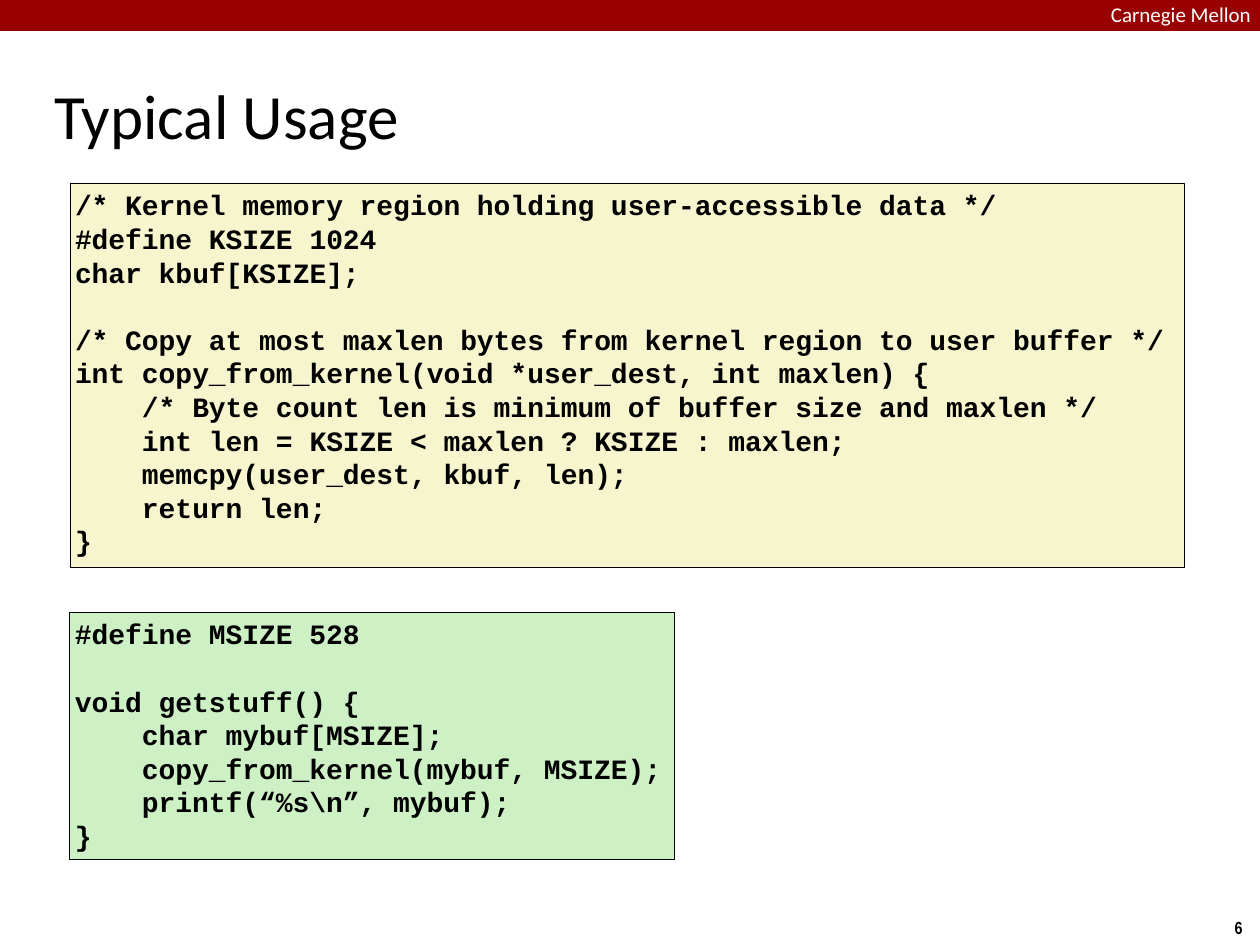
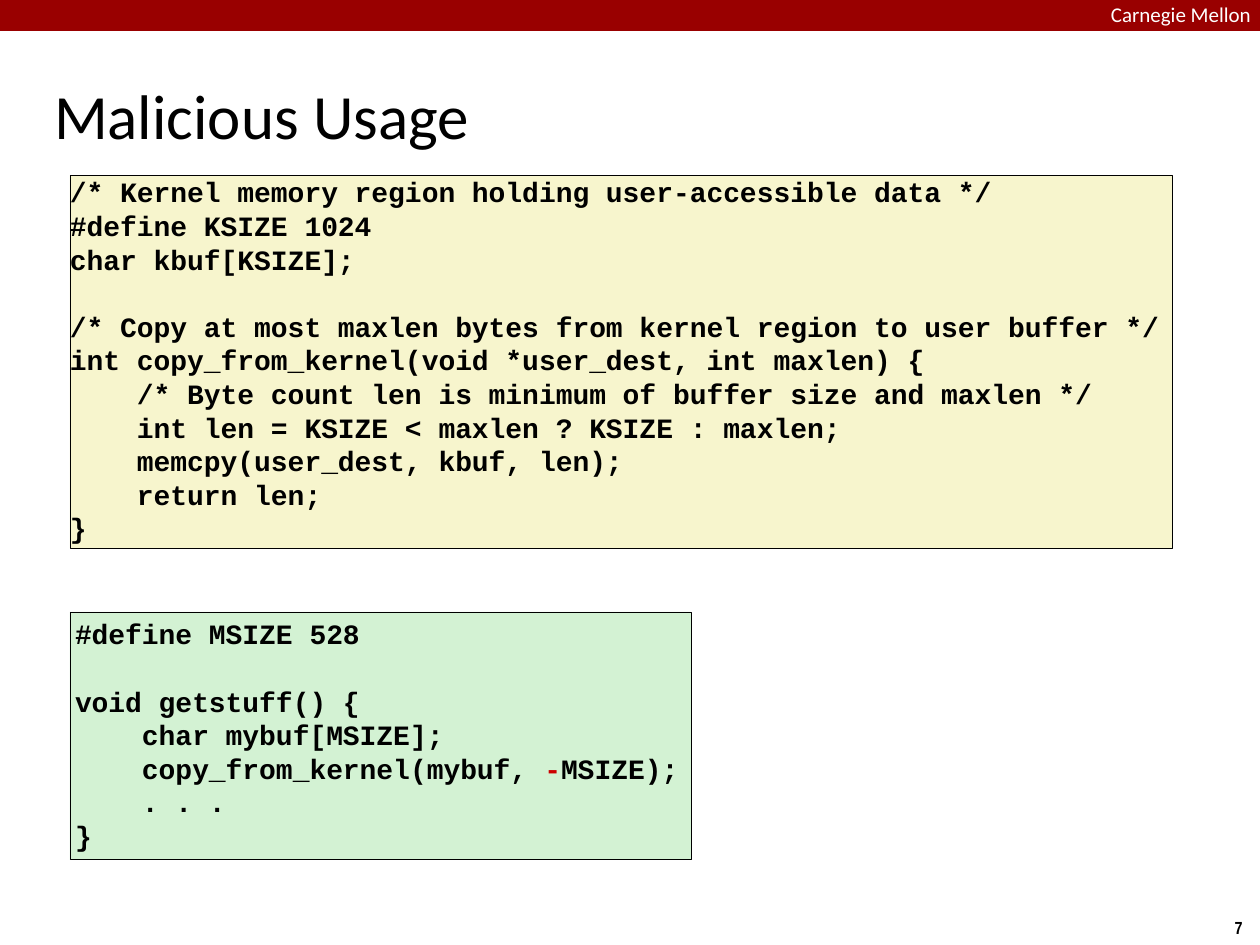
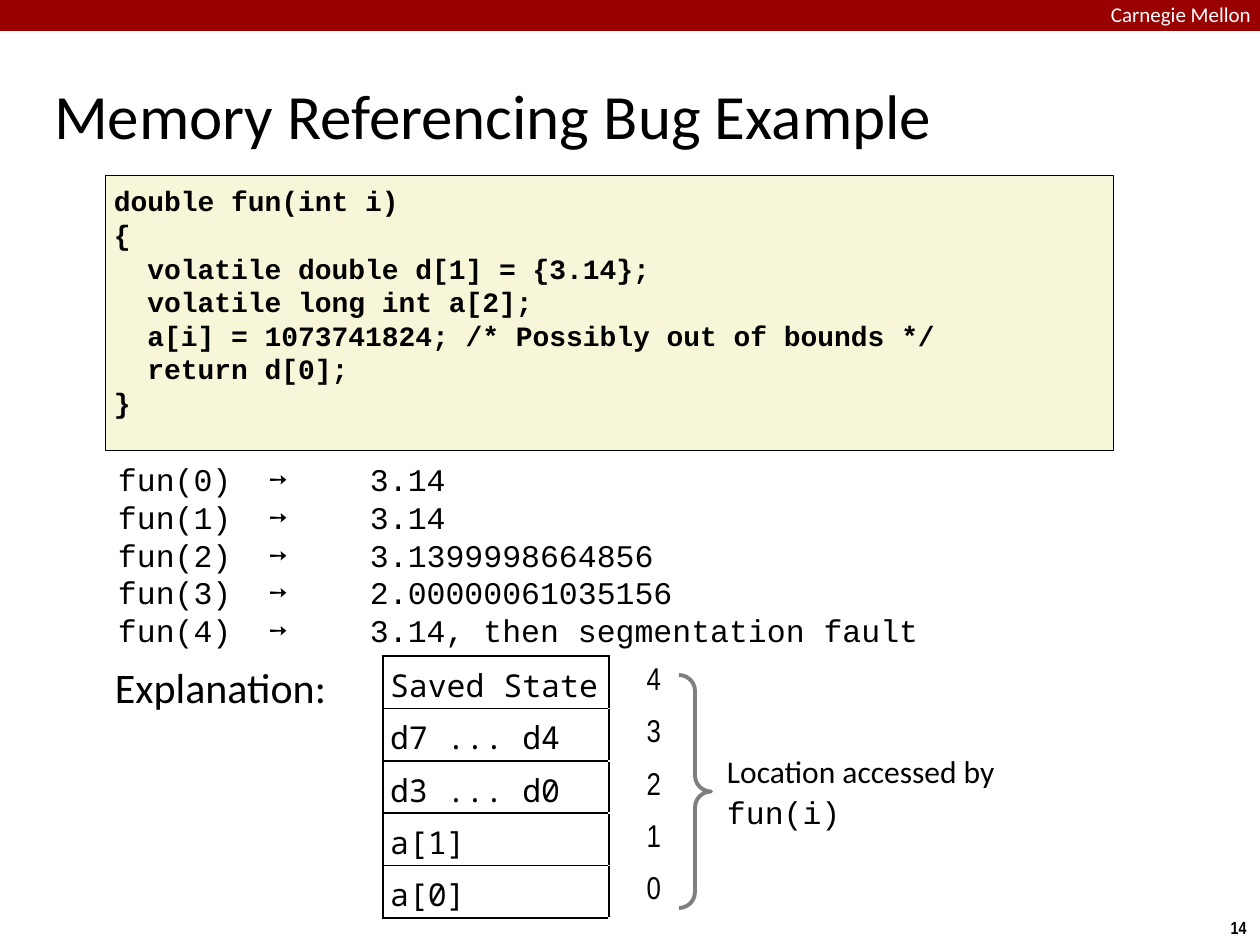
from lxml import etree
from pptx import Presentation
from pptx.dml.color import RGBColor
from pptx.enum.shapes import MSO_SHAPE as Shape
from pptx.enum.text import MSO_ANCHOR as Anchor, MSO_AUTO_SIZE as Fit, PP_ALIGN as Align
from pptx.oxml.ns import qn
from pptx.util import Emu, Pt

SCALE = 914400 / 126
WIDE, HIGH = 1260, 945
BLACK, WHITE, RED = "000000", "FFFFFF", "CC0000"
BAND, GRAY = "990000", "7F7F7F"
SAND, CREAM, GREEN, MINT = "F7F5CD", "F8F6D9", "CDF1C5", "D3F2D3"

TITLE = {"name": "Calibri", "size": 36, "color": BLACK}
BRAND = {"name": "Calibri", "size": 12, "color": WHITE}
PAGE = {"name": "Arial Narrow", "size": 10, "bold": True, "color": BLACK}
CODE = {"name": "Courier New", "size": 16, "bold": True, "color": BLACK}
OUTPUT = {"name": "Courier New", "size": 18, "color": BLACK}
LABEL = {"name": "Calibri", "size": 18, "color": BLACK}
LEAD = {"name": "Calibri", "size": 24, "color": BLACK}
CELL = {"name": "Noto Sans Mono", "size": 18, "bold": False, "color": BLACK}
INDEX = {**CELL, "name": "Arial Narrow"}

KERNEL = """/* Kernel memory region holding user-accessible data */
#define KSIZE 1024
char kbuf[KSIZE];

/* Copy at most maxlen bytes from kernel region to user buffer */
int copy_from_kernel(void *user_dest, int maxlen) {
    /* Byte count len is minimum of buffer size and maxlen */
    int len = KSIZE < maxlen ? KSIZE : maxlen;
    memcpy(user_dest, kbuf, len);
    return len;
}""".split("\n")

CALLER = """#define MSIZE 528

void getstuff() {
    char mybuf[MSIZE];""".split("\n")

FUN = """double fun(int i)
{
  volatile double d[1] = {3.14};
  volatile long int a[2];
  a[i] = 1073741824; /* Possibly out of bounds */
  return d[0];
}""".split("\n")

RESULTS = ["3.14", "3.14", "3.1399998664856", "2.00000061035156",
           "3.14, then segmentation fault"]
STACK = ["Saved State", "d7 ... d4", "d3 ... d0", "a[1]", "a[0]"]


def px(n):
    return Emu(round(n * SCALE))


def rgb(code):
    return RGBColor.from_string(code)


def style(run, form):
    for key, value in form.items():
        if key == "color":
            run.font.color.rgb = rgb(value)
        else:
            setattr(run.font, key, Pt(value) if key == "size" else value)


def add_tabs(par, stops):
    tabs = etree.SubElement(par._p.get_or_add_pPr(), qn("a:tabLst"))
    for stop in stops:
        etree.SubElement(tabs, qn("a:tab"), pos=str(px(stop)), algn="l")


def rule(cell, sides, color=BLACK, width=1):
    """Draw borders on the given sides, named in the order L, R, T, B."""
    props = cell._tc.get_or_add_tcPr()
    for spot, side in enumerate(sides):
        line = etree.Element(qn("a:ln" + side), w=str(Pt(width)))
        fill = etree.SubElement(line, qn("a:solidFill"))
        etree.SubElement(fill, qn("a:srgbClr"), val=color)
        props.insert(spot, line)


class Deck:
    """Holds the presentation, its shared style and the current slide."""

    def __init__(self):
        self.pres = Presentation()
        self.pres.slide_width, self.pres.slide_height = px(WIDE), px(HIGH)

    def start(self, title, page):
        self.slide = self.pres.slides.add_slide(self.pres.slide_layouts[5])
        self.shape(Shape.RECTANGLE, (0, 0, WIDE, 31), fill=BAND)
        self.text((1111, 2, 149, 24), ["Carnegie Mellon"], BRAND)
        self.text((1217, 911, 43, 34), [page], PAGE, pad=6, align=Align.CENTER)
        head = self.slide.shapes.title
        head.left, head.top, head.width, head.height = map(px, (49, 8, 1046, 213))
        self.put(head.text_frame, [title], TITLE, pad=5, anchor=Anchor.MIDDLE)

    def put(self, frame, lines, form, pad=0, align=Align.LEFT,
            anchor=Anchor.TOP, space=None, tabs=()):
        """Set up a frame and fill it with lines."""
        frame.word_wrap, frame.auto_size = True, Fit.NONE
        frame.vertical_anchor = anchor
        for side in ("left", "right", "top", "bottom"):
            setattr(frame, "margin_" + side, px(pad))
        self.fill(frame, lines, form, align, space, tabs)

    def fill(self, frame, lines, form, align, space=None, tabs=()):
        """Add paragraphs; a line is a string or a list of (text, changes)."""
        for spot, line in enumerate(lines):
            par = frame.add_paragraph() if spot else frame.paragraphs[0]
            par.alignment = align
            if space:
                par.line_spacing = space
            if tabs:
                add_tabs(par, tabs)
            for text, more in [(line, {})] if isinstance(line, str) else line:
                run = par.add_run()
                run.text = text
                style(run, {**form, **more})

    def text(self, area, lines, form, **opts):
        box = self.slide.shapes.add_textbox(*map(px, area))
        self.put(box.text_frame, lines, form, **opts)

    def shape(self, kind, area, fill=None, line=None, width=0.5):
        item = self.slide.shapes.add_shape(kind, *map(px, area))
        item.shadow.inherit = False
        if fill:
            item.fill.solid()
            item.fill.fore_color.rgb = rgb(fill)
        else:
            item.fill.background()
        if line:
            item.line.color.rgb = rgb(line)
            item.line.width = Pt(width)
        else:
            item.line.fill.background()
        return item

    def panel(self, area, lines, fill, form=CODE, line=BLACK, pad=5, **opts):
        item = self.shape(Shape.RECTANGLE, area, fill, line)
        self.put(item.text_frame, lines, form, pad, **opts)

    def brace(self, area):
        item = self.shape(Shape.RIGHT_BRACE, area, line=GRAY, width=2.25)
        item.adjustments[0] = 0.5

    def stack(self, area, names, widths):
        """Table of boxed names, each with its index counted down to 0."""
        table = self.slide.shapes.add_table(len(names), 2, *map(px, area)).table
        table.first_row = table.horz_banding = False
        for col, width in zip(table.columns, widths):
            col.width = px(width)
        for row, name in enumerate(names):
            count = str(len(names) - 1 - row)
            for col, (word, form, align, low, sides) in enumerate((
                    (name, CELL, Align.LEFT, 1, "LRTB"),
                    (count, INDEX, Align.RIGHT, 7, "L"))):
                cell = table.cell(row, col)
                cell.fill.background()
                cell.vertical_anchor = Anchor.MIDDLE
                cell.margin_left = cell.margin_right = cell.margin_top = px(7)
                cell.margin_bottom = px(low)
                self.fill(cell.text_frame, [word], form, align)
                rule(cell, sides)


def main():
    deck = Deck()

    deck.start("Typical Usage", "6")
    deck.panel((70, 183, 1114, 384), KERNEL, SAND)
    deck.panel((70, 612, 605, 248), CALLER + [
        "    copy_from_kernel(mybuf, MSIZE);", "    printf(“%s\\n”, mybuf);", "}"], GREEN)

    deck.start("Malicious Usage", "7")
    call = [("    copy_from_kernel(mybuf, ", {}), ("-", {"color": RED}), ("MSIZE);", {})]
    deck.panel((70, 612, 621, 248), CALLER + [call, "    . . .", "}"], MINT)
    deck.panel((70, 175, 1103, 373), KERNEL, SAND, pad=0)

    deck.start("Memory Referencing Bug Example", "14")
    deck.panel((105, 175, 1009, 276), FUN, CREAM, pad=9)
    calls = [f"fun({i})\t➙\t{value}" for i, value in enumerate(RESULTS)]
    deck.panel((113, 455, 1009, 189), calls, WHITE, OUTPUT, line=None, tabs=(151, 252))
    deck.brace((679, 675, 32, 233))
    deck.text((722, 743, 292, 89), [[("Location accessed by ", {}),
              ("fun(i)", {"name": "Courier New"})]], LABEL, pad=5, space=1.1)
    deck.text((115, 662, 229, 62), ["Explanation:"], LEAD)
    deck.stack((383, 656, 285, 262), STACK, (226, 59))

    deck.pres.save("out.pptx")


if __name__ == "__main__":
    main()
